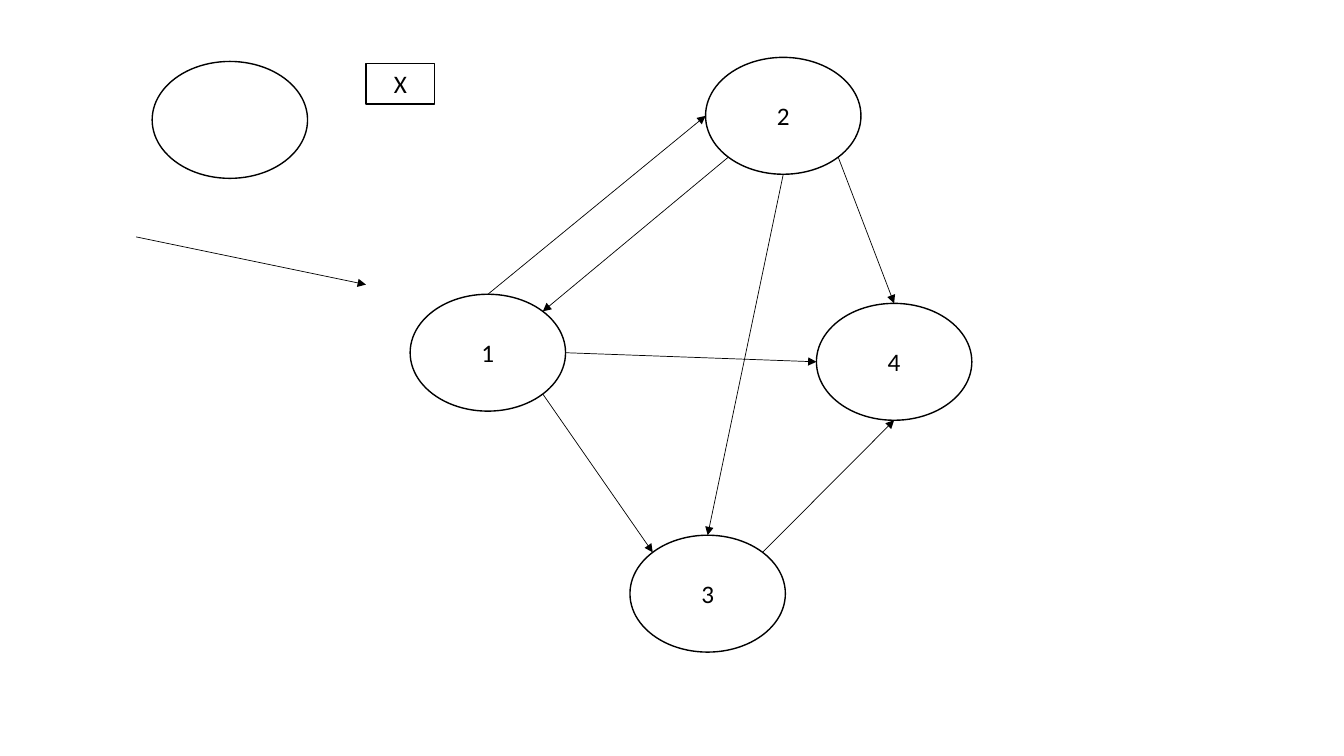
from math import cos, radians, sin

from lxml import etree
from pptx import Presentation
from pptx.dml.color import RGBColor
from pptx.enum import shapes, text
from pptx.oxml import ns
from pptx.util import Pt

BLACK, WHITE = "000000", "FFFFFF"
NODE_W, NODE_H = 111, 83.5

# Node label: left and top within the graph
NODES = {"1": (0, 169.2), "2": (211, 0), "3": (157, 341.3), "4": (290.2, 175.7)}

# Directions clockwise from the right, in degrees
PORTS = {"right": 0, "lower right": 45, "bottom": 90, "lower left": 135,
         "left": 180, "upper left": 225, "top": 270, "upper right": 315}

EDGES = [
    ("1", "lower right", "3", "upper left"),
    ("1", "right", "4", "left"),
    ("1", "top", "2", "left"),
    ("2", "lower left", "1", "upper right"),
    ("2", "bottom", "3", "top"),
    ("2", "lower right", "4", "top"),
    ("3", "upper right", "4", "bottom"),
]


def color(hex_string):
    return RGBColor.from_string(hex_string)


def add_outline(slide, preset, left, top, width, height, label=""):
    outline = slide.shapes.add_shape(preset, Pt(left), Pt(top), Pt(width), Pt(height))
    outline.shadow.inherit = False
    outline.fill.solid()
    outline.fill.fore_color.rgb = color(WHITE)
    outline.line.color.rgb = color(BLACK)
    outline.line.width = Pt(1)
    if label:
        frame = outline.text_frame
        frame.word_wrap = True
        frame.vertical_anchor = text.MSO_ANCHOR.MIDDLE
        paragraph = frame.paragraphs[0]
        paragraph.alignment = text.PP_ALIGN.CENTER
        run = paragraph.add_run()
        run.text = label
        run.font.name = "Calibri"
        run.font.size = Pt(18)
        run.font.color.rgb = color(BLACK)


def add_arrow(slide, start, end):
    arrow = slide.shapes.add_connector(
        shapes.MSO_CONNECTOR.STRAIGHT, *(Pt(value) for value in (*start, *end)))
    arrow.line.color.rgb = color(BLACK)
    arrow.line.width = Pt(0.5)
    etree.SubElement(arrow.line._get_or_add_ln(), ns.qn("a:tailEnd"), type="triangle")
    etree.SubElement(arrow._element.spPr, ns.qn("a:effectLst"))


def add_legend(slide, left, top):
    add_outline(slide, shapes.MSO_SHAPE.OVAL, left + 11.5, top, NODE_W, NODE_H)
    add_outline(slide, shapes.MSO_SHAPE.RECTANGLE, left + 164.2, top + 1.5, 49, 28.8, "X")
    add_arrow(slide, (left, top + 125.3), (left + 164.2, top + 159.4))


def add_graph(slide, left, top):
    def port_point(node, port):
        x, y = NODES[node]
        angle = radians(PORTS[port])
        return (left + x + NODE_W / 2 * (1 + cos(angle)),
                top + y + NODE_H / 2 * (1 + sin(angle)))

    # Numbered nodes
    for label, (x, y) in NODES.items():
        add_outline(slide, shapes.MSO_SHAPE.OVAL, left + x, top + y, NODE_W, NODE_H, label)

    # Directed edges
    for source, source_port, target, target_port in EDGES:
        add_arrow(slide, port_point(source, source_port), port_point(target, target_port))


def main():
    deck = Presentation()
    deck.slide_width, deck.slide_height = Pt(960), Pt(540)
    slide = deck.slides.add_slide(deck.slide_layouts[6])
    add_legend(slide, 97.2, 43.9)
    add_graph(slide, 293, 41)
    deck.save("out.pptx")


if __name__ == "__main__":
    main()
